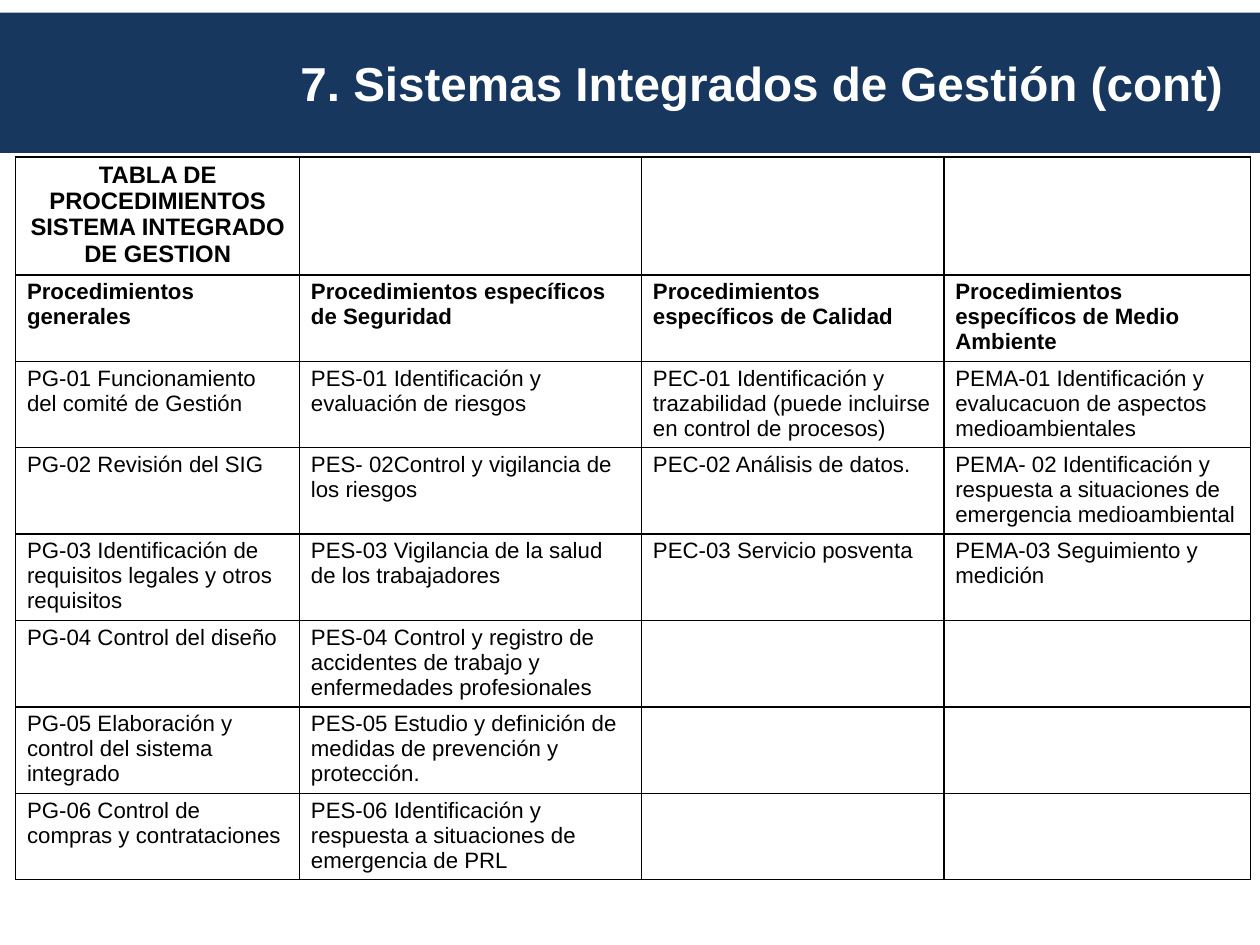
from lxml import etree
from pptx import Presentation
from pptx.dml.color import RGBColor
from pptx.enum.shapes import MSO_SHAPE as Shape
from pptx.enum.text import MSO_ANCHOR as Anchor, MSO_AUTO_SIZE as AutoSize, PP_ALIGN as Align
from pptx.oxml.ns import qn
from pptx.util import Cm, Pt

NAVY = RGBColor(0x17, 0x37, 0x5E)
WHITE = RGBColor(0xFF, 0xFF, 0xFF)
BLACK = RGBColor(0, 0, 0)

COLUMN_WIDTHS = [6.31, 7.6, 6.72, 6.81]
HEADING_HEIGHT, ROW_HEIGHT = 2.62, 1.92
PROCEDURES = [
    ["TABLA DE PROCEDIMIENTOS SISTEMA INTEGRADO DE GESTION", "", "", ""],
    ["Procedimientos generales",
     "Procedimientos específicos de Seguridad",
     "Procedimientos específicos de Calidad",
     "Procedimientos específicos de Medio Ambiente"],
    ["PG-01 Funcionamiento del comité de Gestión",
     "PES-01 Identificación y evaluación de riesgos",
     "PEC-01 Identificación y trazabilidad (puede incluirse en control de procesos)",
     "PEMA-01 Identificación y evalucacuon de aspectos medioambientales"],
    ["PG-02 Revisión del SIG",
     "PES- 02Control y vigilancia de los riesgos",
     "PEC-02 Análisis de datos.",
     "PEMA- 02 Identificación y respuesta a situaciones de emergencia medioambiental"],
    ["PG-03 Identificación de requisitos legales y otros requisitos",
     "PES-03 Vigilancia de la salud de los trabajadores",
     "PEC-03 Servicio posventa",
     "PEMA-03 Seguimiento y medición"],
    ["PG-04 Control del diseño",
     "PES-04 Control y registro de accidentes de trabajo y enfermedades profesionales",
     "", ""],
    ["PG-05 Elaboración y control del sistema integrado",
     "PES-05 Estudio y definición de medidas de prevención y protección.",
     "", ""],
    ["PG-06 Control de compras y contrataciones",
     "PES-06 Identificación y respuesta a situaciones de emergencia de PRL",
     "", ""],
]


class SlideBuilder:
    """Holds the font and the current slide."""

    def __init__(self, slide, font="Arial"):
        self.slide = slide
        self.font = font

    def add_text(self, paragraph, text, size, color, bold=False, align=Align.LEFT):
        paragraph.alignment = align
        run = paragraph.add_run()
        run.text = text
        run.font.name = self.font
        run.font.size = Pt(size)
        run.font.bold = bold
        run.font.color.rgb = color

    def band(self, left, top, width, height, color):
        """Add a plain rectangle behind the title."""
        band = self.slide.shapes.add_shape(
            Shape.RECTANGLE, Cm(left), Cm(top), Cm(width), Cm(height))
        band.shadow.inherit = False
        band.fill.solid()
        band.fill.fore_color.rgb = color
        band.line.fill.background()
        self.slide.shapes.title._element.addprevious(band._element)

    def title(self, text, left, top, width, height):
        title = self.slide.shapes.title
        title.left, title.top = Cm(left), Cm(top)
        title.width, title.height = Cm(width), Cm(height)
        frame = title.text_frame
        frame.margin_left = frame.margin_right = 0
        frame.margin_top = frame.margin_bottom = 0
        frame.word_wrap = True
        frame.auto_size = AutoSize.NONE
        frame.vertical_anchor = Anchor.MIDDLE
        self.add_text(frame.paragraphs[0], text, 30, WHITE, True, Align.RIGHT)

    def table(self, rows, left, top, widths, heights):
        table = self.slide.shapes.add_table(
            len(rows), len(widths), Cm(left), Cm(top),
            Cm(sum(widths)), Cm(sum(heights))).table
        table.first_row = table.horz_banding = False
        for column, width in zip(table.columns, widths):
            column.width = Cm(width)
        for index, (row, height, texts) in enumerate(zip(table.rows, heights, rows)):
            row.height = Cm(height)
            for cell, text in zip(row.cells, texts):
                self.style_cell(cell)
                if text:
                    size, align = (15, Align.CENTER) if index == 0 else (14, Align.LEFT)
                    self.add_text(cell.text_frame.paragraphs[0], text, size, BLACK,
                                  index < 2, align)

    def style_cell(self, cell):
        """Give a cell its margins, thin black borders and white fill."""
        cell.margin_left = cell.margin_right = Cm(0.25)
        cell.margin_top = cell.margin_bottom = Cm(0.1)
        properties = cell._tc.get_or_add_tcPr()
        for side in ("a:lnL", "a:lnR", "a:lnT", "a:lnB"):
            border = etree.SubElement(properties, qn(side), w=str(Pt(1)))
            fill = etree.SubElement(border, qn("a:solidFill"))
            etree.SubElement(fill, qn("a:srgbClr"), val=str(BLACK))
        cell.fill.solid()
        cell.fill.fore_color.rgb = WHITE


def main():
    presentation = Presentation()
    presentation.slide_width, presentation.slide_height = Cm(28), Cm(21)
    slide = presentation.slides.add_slide(presentation.slide_layouts[5])
    builder = SlideBuilder(slide)
    builder.band(0, 0.28, 28, 3.12, NAVY)
    builder.title("7. Sistemas Integrados de Gestión (cont)", 1.83, 0.27, 25.37, 3.12)
    heights = [HEADING_HEIGHT] + [ROW_HEIGHT] * (len(PROCEDURES) - 1)
    builder.table(PROCEDURES, 0.35, 3.49, COLUMN_WIDTHS, heights)
    presentation.save("out.pptx")


if __name__ == "__main__":
    main()
